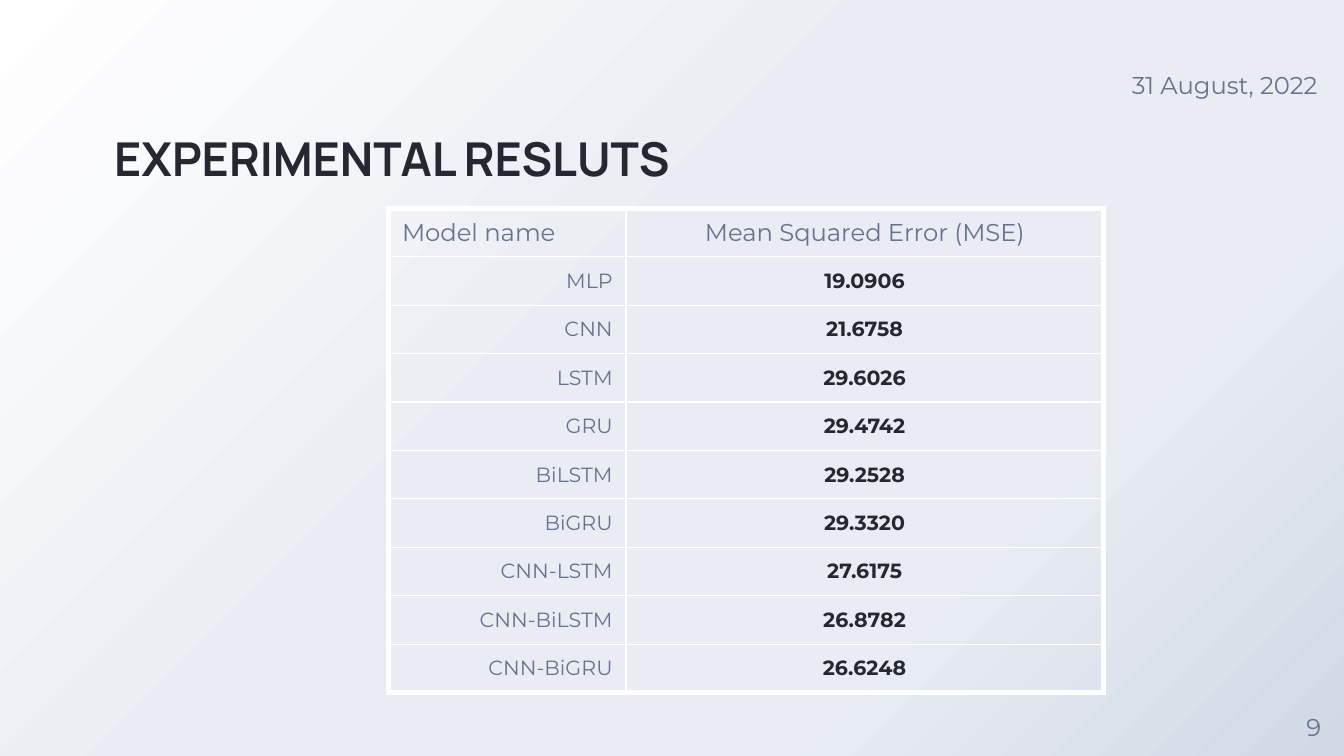
from pptx import Presentation
from pptx.dml.color import RGBColor
from pptx.enum.text import MSO_ANCHOR, PP_ALIGN
from pptx.oxml import parse_xml
from pptx.oxml.ns import nsdecls
from pptx.util import Cm, Pt

INK, SLATE, WHITE = "252831", "68728D", "FFFFFF"
THIN, THICK = 0.75, 3
BACKDROP = [(0, WHITE), (44, "E9EDF3"), (72, "E9EDF3"), (100, "D0D8E5")]

HEADINGS = ("Model name", "Mean Squared Error (MSE)")
RESULTS = [
    ("MLP", "19.0906"),
    ("CNN", "21.6758"),
    ("LSTM", "29.6026"),
    ("GRU", "29.4742"),
    ("BiLSTM", "29.2528"),
    ("BiGRU", "29.3320"),
    ("CNN-LSTM", "27.6175"),
    ("CNN-BiLSTM", "26.8782"),
    ("CNN-BiGRU", "26.6248"),
]


def color(hex_string):
    return RGBColor.from_string(hex_string)


def add_run(paragraph, text, size, hue=SLATE, bold=False, font="Montserrat"):
    run = paragraph.add_run()
    run.text = text
    run.font.name = font
    run.font.size = Pt(size)
    run.font.bold = bold
    run.font.color.rgb = color(hue)


def add_label(slide, text, left, top, width, height, size=13,
              align=PP_ALIGN.LEFT, anchor=MSO_ANCHOR.MIDDLE, **style):
    label = slide.shapes.add_textbox(Cm(left), Cm(top), Cm(width), Cm(height))
    frame = label.text_frame
    frame.word_wrap = True
    frame.vertical_anchor = anchor
    frame.margin_left = frame.margin_right = 0
    frame.margin_top = frame.margin_bottom = 0
    frame.paragraphs[0].alignment = align
    add_run(frame.paragraphs[0], text, size, **style)


def set_backdrop(slide):
    """Fill the background with a gradient that starts at the top left corner."""
    stops = "".join(
        f'<a:gs pos="{percent * 1000}"><a:srgbClr val="{hue}"/></a:gs>'
        for percent, hue in BACKDROP)
    gradient = parse_xml(
        f'<a:gradFill {nsdecls("a")} rotWithShape="1"><a:gsLst>{stops}</a:gsLst>'
        '<a:path path="circle"><a:fillToRect r="100000" b="100000"/></a:path>'
        '</a:gradFill>')
    fill = slide.background.fill
    fill.solid()
    properties = slide.element.cSld.bg.bgPr
    properties.replace(properties[0], gradient)


def set_borders(cell, **widths):
    """Draw white borders; the sides come in the order L, R, T, B."""
    properties = cell._tc.get_or_add_tcPr()
    for index, (side, width) in enumerate(widths.items()):
        properties.insert(index, parse_xml(
            f'<a:ln{side} {nsdecls("a")} w="{Pt(width)}"><a:solidFill>'
            f'<a:srgbClr val="{WHITE}"/></a:solidFill></a:ln{side}>'))


def fill_cell(cell, text, size, align, **style):
    cell.fill.background()
    cell.vertical_anchor = MSO_ANCHOR.MIDDLE
    cell.margin_left = cell.margin_right = Cm(0.25)
    cell.margin_top = cell.margin_bottom = Cm(0.17)
    paragraph = cell.text_frame.paragraphs[0]
    paragraph.alignment = align
    add_run(paragraph, text, size, **style)


def add_results_table(slide):
    rows = [HEADINGS, *RESULTS]
    table = slide.shapes.add_table(
        len(rows), 2, Cm(7.35), Cm(3.94), Cm(13.5), Cm(9.15)).table
    table.first_row = table.horz_banding = False
    table.columns[0].width = Cm(4.48)
    table.columns[1].width = Cm(9.02)

    last = len(rows) - 1
    for index, (model, error) in enumerate(rows):
        model_cell, error_cell = table.cell(index, 0), table.cell(index, 1)
        if index == 0:
            fill_cell(model_cell, model, 13, PP_ALIGN.LEFT)
            fill_cell(error_cell, error, 13, PP_ALIGN.CENTER)
        else:
            fill_cell(model_cell, model, 11, PP_ALIGN.RIGHT)
            fill_cell(error_cell, error, 11, PP_ALIGN.CENTER, hue=INK, bold=True)

        # Thick frame outside, thin rules inside
        top = THICK if index == 0 else THIN
        bottom = THICK if index == last else THIN
        set_borders(model_cell, L=THICK, R=THIN, T=top, B=bottom)
        set_borders(error_cell, L=THIN, R=THICK, T=top, B=bottom)


def main():
    deck = Presentation()
    deck.slide_width, deck.slide_height = Cm(25.4), Cm(14.29)
    slide = deck.slides.add_slide(deck.slide_layouts[6])
    set_backdrop(slide)

    # Title
    add_label(slide, "EXPERIMENTAL RESLUTS", 2.16, 1.12, 10.95, 2.39, size=25,
              anchor=MSO_ANCHOR.BOTTOM, hue=INK, bold=True, font="Manrope")

    # Results
    add_results_table(slide)

    # Page number and date
    add_label(slide, "9", 24.26, 13.16, 1.14, 1.14, align=PP_ALIGN.CENTER)
    add_label(slide, "31 August, 2022", 21.39, 1.04, 5.38, 1.14)

    deck.save("out.pptx")


if __name__ == "__main__":
    main()
